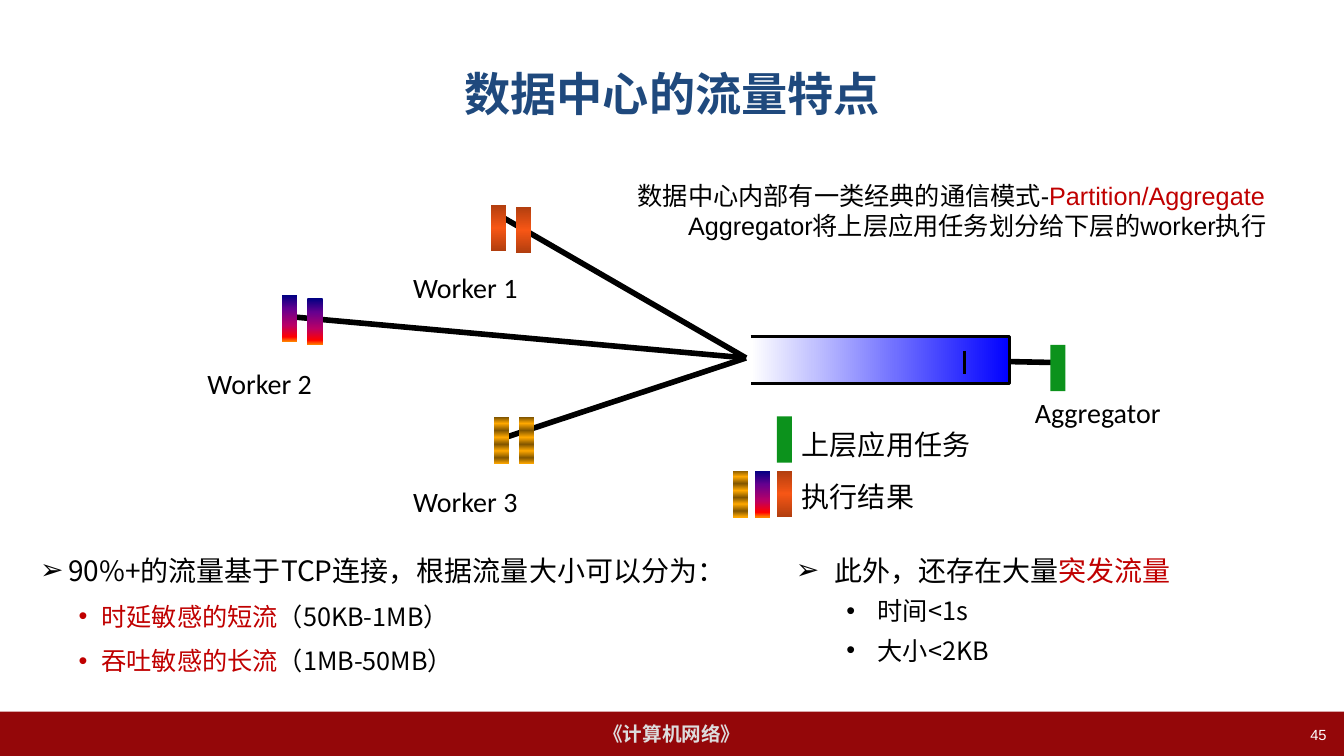
from lxml.etree import SubElement
from pptx import Presentation
from pptx.dml.color import RGBColor
from pptx.enum.shapes import MSO_CONNECTOR, MSO_SHAPE
from pptx.enum.text import MSO_ANCHOR, PP_ALIGN
from pptx.oxml.ns import qn
from pptx.util import Cm, Pt

BLACK = RGBColor(0x00, 0x00, 0x00)
WHITE = RGBColor(0xFF, 0xFF, 0xFF)
RED = RGBColor(0xC0, 0x00, 0x00)
NAVY = RGBColor(0x1F, 0x49, 0x7D)
MAROON = RGBColor(0x94, 0x07, 0x09)
SILVER = RGBColor(0xDD, 0xDD, 0xDD)
GREEN = RGBColor(0x0C, 0x92, 0x1C)
BLUE = RGBColor(0x00, 0x00, 0xFF)
RUST = RGBColor(0xB1, 0x3E, 0x0F)
ORANGE = RGBColor(0xF7, 0x56, 0x15)
BRONZE = RGBColor(0x82, 0x56, 0x00)
GOLD = RGBColor(0xFF, 0xA8, 0x00)

COPPER_STOPS = [(0, RUST), (50, ORANGE), (100, RUST)]
SUNSET_STOPS = [
    (0, RGBColor(0x00, 0x00, 0x82)),
    (30, RGBColor(0x66, 0x00, 0x8F)),
    (65, RGBColor(0xBA, 0x00, 0x66)),
    (90, RGBColor(0xFF, 0x00, 0x00)),
    (100, RGBColor(0xFF, 0x82, 0x00)),
]
GOLD_STOPS = [
    (position, GOLD if index % 2 else BRONZE)
    for index, position in enumerate((0, 13, 28, 43, 58, 72, 87, 100))
]
QUEUE_STOPS = [(0, WHITE), (100, BLUE)]

CHINESE = "Noto Sans CJK SC"
PACKET_WIDTH, PACKET_HEIGHT = 0.38, 1.17
HUB = (18.8, 9.02)


def add_paragraph(frame, *spans, size, font="Arial", bold=False, align=PP_ALIGN.LEFT,
                  level=0, bullet=None, margin=0, hanging=0, spacing=None, before=None):
    """Write (text, colour) spans as the next paragraph; indents are in cm."""
    para = frame.paragraphs[0]
    if para.runs:
        para = frame.add_paragraph()
    para.alignment = align
    para.level = level
    if spacing:
        para.line_spacing = spacing
    if before:
        para.space_before = Pt(before)
    properties = para._p.get_or_add_pPr()
    properties.set("marL", str(Cm(margin)))
    properties.set("indent", str(Cm(-hanging)))
    if bullet:
        SubElement(properties, qn("a:buFont"), typeface="Arial")
        SubElement(properties, qn("a:buChar"), char=bullet)
    for text, color in spans:
        span = para.add_run()
        span.text = text
        span.font.size = Pt(size)
        span.font.name = font
        span.font.bold = bold
        span.font.color.rgb = color
        SubElement(span._r.get_or_add_rPr(), qn("a:ea"), typeface=CHINESE)


def add_box(shapes, left, top, width, height, anchor=MSO_ANCHOR.TOP):
    """Add a wrapping text box and return its text frame."""
    frame = shapes.add_textbox(Cm(left), Cm(top), Cm(width), Cm(height)).text_frame
    frame.word_wrap = True
    frame.vertical_anchor = anchor
    return frame


def add_label(shapes, text, left, top, width, font="Calibri"):
    add_paragraph(add_box(shapes, left, top, width, 1.12), (text, BLACK), size=20, font=font)


def add_rectangle(shapes, left, top, width, height):
    shape = shapes.add_shape(MSO_SHAPE.RECTANGLE, Cm(left), Cm(top), Cm(width), Cm(height))
    shape.shadow.inherit = False
    shape.line.fill.background()
    return shape


def fill_solid(shape, color):
    shape.fill.solid()
    shape.fill.fore_color.rgb = color


def fill_gradient(shape, stops, angle):
    shape.fill.gradient()
    shape.fill.gradient_angle = angle
    stop_list = shape._element.spPr.find(".//" + qn("a:gsLst"))
    stop_list.clear()
    for position, color in stops:
        stop = SubElement(stop_list, qn("a:gs"), pos=str(position * 1000))
        SubElement(stop, qn("a:srgbClr"), val=str(color))


def add_packet(shapes, left, top, paint):
    """Add a packet painted with one colour or a list of gradient stops."""
    packet = add_rectangle(shapes, left, top, PACKET_WIDTH, PACKET_HEIGHT)
    if isinstance(paint, list):
        fill_gradient(packet, paint, 270)
    else:
        fill_solid(packet, paint)


def add_line(shapes, start, end, width=4):
    line = shapes.add_connector(MSO_CONNECTOR.STRAIGHT, *map(Cm, start + end))
    line.line.color.rgb = BLACK
    line.line.width = Pt(width)
    SubElement(line._element.spPr, qn("a:effectLst"))


def add_queue(shapes, left, top, width, height):
    """Add the buffer, open on its left side, with a tick near its head."""
    right, bottom = left + width, top + height
    builder = shapes.build_freeform(Cm(left), Cm(top))
    corners = [(right, top), (right, bottom), (left, bottom)]
    builder.add_line_segments([(Cm(x), Cm(y)) for x, y in corners], close=False)
    queue = builder.convert_to_shape()
    queue.shadow.inherit = False
    fill_gradient(queue, QUEUE_STOPS, 0)
    queue.line.color.rgb = BLACK
    queue.line.width = Pt(2.25)
    add_line(shapes, (24.31, 8.84), (24.31, 9.42), 2.25)


def add_network(shapes):
    workers = [
        ("Worker 1", (12.5, 5.38), (10.16, 6.68), COPPER_STOPS, [(13, 5.21), (12.37, 5.16)]),
        ("Worker 2", (7.32, 7.98), (4.98, 9.12), SUNSET_STOPS, [(7.75, 7.52), (7.11, 7.44)]),
        ("Worker 3", (12.5, 11.1), (10.16, 12.09), GOLD_STOPS, [(13.08, 10.52), (12.45, 10.52)]),
    ]
    add_line(shapes, (21.03, 9.02), (26.82, 9.14))
    for _, start, *_ in workers:
        add_line(shapes, start, HUB)
    add_queue(shapes.add_group_shape().shapes, 18.92, 8.48, 6.53, 1.19)
    add_packet(shapes, 26.47, 8.69, GREEN)
    for name, _, label_place, stops, packets in workers:
        for left, top in packets:
            add_packet(shapes, left, top, stops)
        add_label(shapes, name, *label_place, 3.43)
    add_label(shapes, "Aggregator", 25.83, 9.83, 3.91)


def add_legend(shapes):
    add_packet(shapes, 19.58, 10.49, GREEN)
    for index, stops in enumerate((COPPER_STOPS, SUNSET_STOPS, GOLD_STOPS)):
        add_packet(shapes, 19.58 - 0.55 * index, 11.86, stops)
    add_label(shapes, "上层应用任务", 19.96, 10.64, 5.21, CHINESE)
    add_label(shapes, "执行结果", 19.96, 11.96, 5.21, CHINESE)


def add_list(shapes, place, heading, items, heading_indent, item_indent, before=None):
    """Add a bulleted heading with items; each indent is (margin, hanging)."""
    frame = add_box(shapes, *place)
    add_paragraph(frame, *heading, size=20, font=CHINESE, bullet="➢", spacing=1.3,
                  margin=heading_indent[0], hanging=heading_indent[1])
    for item in items:
        add_paragraph(frame, *item, size=18, font=CHINESE, bullet="•", spacing=1.3, level=1,
                      margin=item_indent[0], hanging=item_indent[1], before=before)


def add_footer(shapes):
    band = add_rectangle(shapes, 0, 17.93, 33.87, 1.12)
    fill_solid(band, MAROON)
    band.text_frame.vertical_anchor = MSO_ANCHOR.MIDDLE
    add_paragraph(band.text_frame, ("《计算机网络》", SILVER), size=14, bold=True,
                  align=PP_ALIGN.CENTER)
    number = add_box(shapes, 25.78, 18.16, 7.9, 0.89)
    add_paragraph(number, ("45", WHITE), size=10.5, align=PP_ALIGN.RIGHT)


def main():
    deck = Presentation()
    deck.slide_width, deck.slide_height = Cm(33.87), Cm(19.05)
    shapes = deck.slides.add_slide(deck.slide_layouts[6]).shapes

    add_footer(shapes)
    title = add_box(shapes, 1.7, 0.76, 30.48, 3.18, MSO_ANCHOR.MIDDLE)
    add_paragraph(title, ("数据中心的流量特点", NAVY), size=33, bold=True, align=PP_ALIGN.CENTER)
    add_list(shapes, (0.76, 13.56, 19.05, 3.76),
             [("90%+的流量基于TCP连接，根据流量大小可以分为：", BLACK)],
             [[("时延敏感的短流", RED), ("（50KB-1MB）", BLACK)],
              [("吞吐敏感的长流", RED), ("（1MB-50MB）", BLACK)]],
             (0.71, 0.71), (1.55, 0.58), before=3.6)
    add_network(shapes)
    add_legend(shapes.add_group_shape().shapes)
    intro = add_box(shapes, 15.82, 4.42, 16.94, 1.8)
    add_paragraph(intro, ("数据中心内部有一类经典的通信模式-", BLACK),
                  ("Partition/Aggregate", RED), size=18)
    add_paragraph(intro, ("Aggregator将上层应用任务划分给下层的worker执行", BLACK),
                  size=18, level=1, margin=1.27)
    add_list(shapes, (19.81, 13.56, 13.64, 3.28),
             [("此外，还存在大量", BLACK), ("突发流量", RED)],
             [[("时间<1s", BLACK)], [("大小<2KB", BLACK)]],
             (0.97, 0.97), (2.06, 0.79))
    deck.save("out.pptx")


if __name__ == "__main__":
    main()
